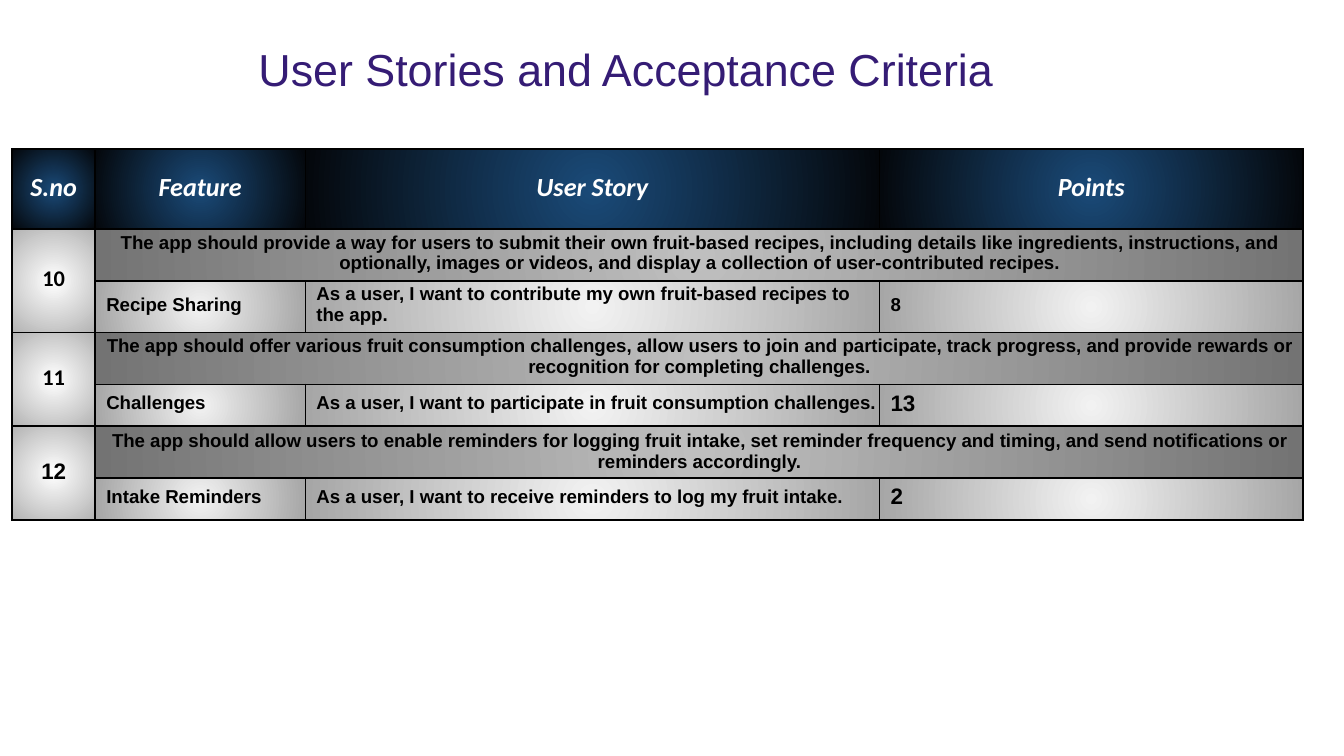
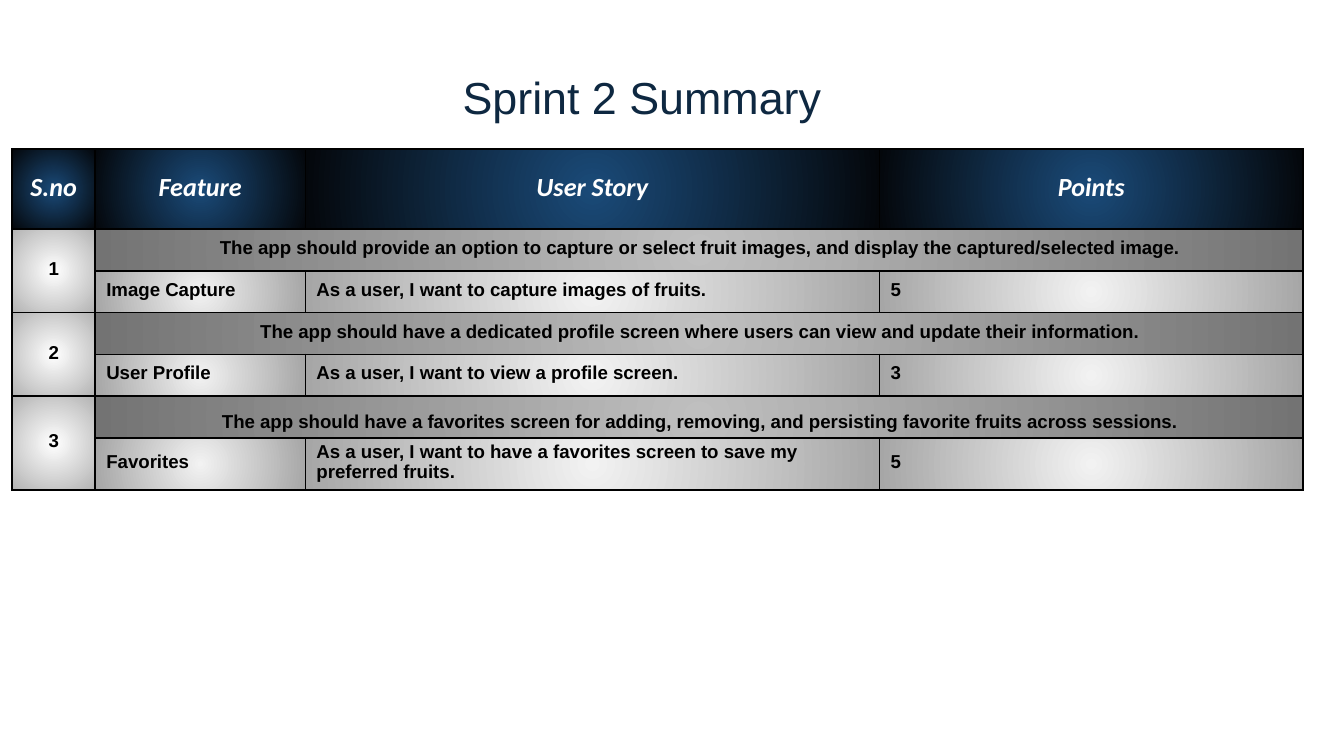
"""Builds the user story and sprint summary slides."""
from dataclasses import dataclass

from lxml.etree import SubElement
from pptx import Presentation
from pptx.dml.color import RGBColor
from pptx.enum.text import MSO_ANCHOR, MSO_AUTO_SIZE, PP_ALIGN
from pptx.oxml.ns import qn
from pptx.util import Cm, Pt


@dataclass(frozen=True)
class Theme:
    violet: str = "351C75"
    navy: str = "0E2841"
    white: str = "FFFFFF"
    black: str = "000000"
    header_fill: tuple = ("1A4A78", "04070B")
    number_fill: tuple = ("FFFFFF", "B3B3B3")
    criterion_fill: tuple = ("BFBFBF", "737373")
    story_fill: tuple = ("F2F2F2", "A6A6A6")
    body_font: str = "Arial"
    header_font: str = "Calibri"
    title_size: int = 24
    header_size: int = 14
    large_size: int = 12
    body_size: int = 10
    border: int = 1


@dataclass
class Story:
    number: str
    criterion: str
    feature: str
    story: str
    points: str
    number_size: int = Theme.body_size
    number_font: str = Theme.body_font
    points_size: int = Theme.body_size
    anchor: MSO_ANCHOR = MSO_ANCHOR.MIDDLE


HEADERS = ["S.no", "Feature", "User Story", "Points"]
COLUMNS = [1.57, 3.97, 10.85, 8.01]
HEADER_HEIGHT, ROW_HEIGHT = 1.51, 0.79
TABLE_LEFT, TABLE_TOP = 0.23, 2.82
CELL_INSETS = dict(margin_left=Cm(0.03), margin_top=Cm(0.03),
                   margin_right=Cm(0.03), margin_bottom=Cm(0.1))
TITLE_FRAME = dict(margin_left=Cm(0.18), margin_top=Cm(0.1),
                   margin_right=Cm(0.18), margin_bottom=Cm(0.1),
                   word_wrap=True, vertical_anchor=MSO_ANCHOR.TOP,
                   auto_size=MSO_AUTO_SIZE.SHAPE_TO_FIT_TEXT)

ACCEPTANCE = [
    Story("10", "The app should provide a way for users to submit their own "
          "fruit-based recipes, including details like ingredients, "
          "instructions, and optionally, images or videos, and display a "
          "collection of user-contributed recipes.",
          "Recipe Sharing",
          "As a user, I want to contribute my own fruit-based recipes to the app.",
          "8", Theme.large_size, Theme.header_font),
    Story("11", "The app should offer various fruit consumption challenges, "
          "allow users to join and participate, track progress, and provide "
          "rewards or recognition for completing challenges.",
          "Challenges",
          "As a user, I want to participate in fruit consumption challenges.",
          "13", Theme.large_size, Theme.header_font, Theme.large_size),
    Story("12", "The app should allow users to enable reminders for logging "
          "fruit intake, set reminder frequency and timing, and send "
          "notifications or reminders accordingly.",
          "Intake Reminders",
          "As a user, I want to receive reminders to log my fruit intake.",
          "2", Theme.large_size, points_size=Theme.large_size,
          anchor=MSO_ANCHOR.BOTTOM),
]
SPRINT = [
    Story("1", "The app should provide an option to capture or select fruit "
          "images, and display the captured/selected image.",
          "Image Capture", "As a user, I want to capture images of fruits.", "5"),
    Story("2", "The app should have a dedicated profile screen where users "
          "can view and update their information.",
          "User Profile", "As a user, I want to view a profile screen.", "3"),
    Story("3", "The app should have a favorites screen for adding, removing, "
          "and persisting favorite fruits across sessions.",
          "Favorites",
          "As a user, I want to have a favorites screen to save my preferred fruits.",
          "5", anchor=MSO_ANCHOR.BOTTOM),
]


def apply(target, formats):
    for name, value in formats.items():
        setattr(target, name, value)


def add_color(parent, color):
    SubElement(parent, qn("a:srgbClr"), val=color)


class Deck:
    def __init__(self, theme):
        self.theme = theme
        self.prs = Presentation()
        apply(self.prs, dict(slide_width=Cm(25.4), slide_height=Cm(14.29)))
        self.s = None

    def slide(self):
        self.s = self.prs.slides.add_slide(self.prs.slide_layouts[5])

    def text(self, p, text, size, font, color, align=PP_ALIGN.CENTER, **formats):
        p.alignment = align
        r = p.add_run()
        r.text = text
        apply(r.font, dict(size=Pt(size), name=font, **formats))
        r.font.color.rgb = RGBColor.from_string(color)

    def title(self, text, left, top, width, color):
        sp = self.s.shapes.title
        apply(sp, dict(left=Cm(left), top=Cm(top), width=Cm(width), height=Cm(1.22)))
        apply(sp.text_frame, TITLE_FRAME)
        self.text(sp.text_frame.paragraphs[0], text, self.theme.title_size,
                  self.theme.body_font, color)

    def paint(self, cell, colors):
        tc_pr = cell._tc.get_or_add_tcPr()
        for side in ("lnL", "lnR", "lnT", "lnB"):
            ln = SubElement(tc_pr, qn(f"a:{side}"), w=str(Pt(self.theme.border)))
            add_color(SubElement(ln, qn("a:solidFill")), self.theme.black)
        grad = SubElement(tc_pr, qn("a:gradFill"), rotWithShape="1")
        stops = SubElement(grad, qn("a:gsLst"))
        for pos, color in zip(("0", "100000"), colors):
            add_color(SubElement(stops, qn("a:gs"), pos=pos), color)
        circle = SubElement(grad, qn("a:path"), path="circle")
        SubElement(circle, qn("a:fillToRect"), **dict.fromkeys("ltrb", "50000"))

    def cell(self, cell, text, colors, size=Theme.body_size, font=Theme.body_font,
             color=Theme.black, anchor=MSO_ANCHOR.MIDDLE, indent=False, italic=False):
        apply(cell, dict(CELL_INSETS, vertical_anchor=anchor))
        self.paint(cell, colors)
        p = cell.text_frame.paragraphs[0]
        if indent:
            p_pr = p._p.get_or_add_pPr()
            p_pr.set("marL", str(Cm(0.18)))
            p_pr.set("indent", "0")
        if text:
            self.text(p, text, size, font, color,
                      PP_ALIGN.LEFT if indent else PP_ALIGN.CENTER,
                      bold=True, italic=italic)

    def story_rows(self, tbl, top, item):
        t = self.theme
        self.cell(tbl.cell(top, 0), item.number, t.number_fill,
                  item.number_size, item.number_font)
        self.cell(tbl.cell(top + 1, 0), "", t.number_fill)
        for col, text in enumerate((item.criterion, "", ""), 1):
            self.cell(tbl.cell(top, col), text, t.criterion_fill, anchor=item.anchor)
        details = ((item.feature, t.body_size), (item.story, t.body_size),
                   (item.points, item.points_size))
        for col, (text, size) in enumerate(details, 1):
            self.cell(tbl.cell(top + 1, col), text, t.story_fill, size, indent=True)
        tbl.cell(top, 0).merge(tbl.cell(top + 1, 0))
        tbl.cell(top, 1).merge(tbl.cell(top, 3))

    def table(self, stories):
        t = self.theme
        heights = [HEADER_HEIGHT] + [ROW_HEIGHT] * (2 * len(stories))
        tbl = self.s.shapes.add_table(
            len(heights), len(COLUMNS), Cm(TABLE_LEFT), Cm(TABLE_TOP),
            Cm(sum(COLUMNS)), Cm(sum(heights))).table
        apply(tbl, dict(first_row=False, horz_banding=False))
        for column, width in zip(tbl.columns, COLUMNS):
            column.width = Cm(width)
        for row, height in zip(tbl.rows, heights):
            row.height = Cm(height)
        for col, text in enumerate(HEADERS):
            self.cell(tbl.cell(0, col), text, t.header_fill, t.header_size,
                      t.header_font, t.white, italic=True)
        for i, item in enumerate(stories):
            self.story_rows(tbl, 1 + 2 * i, item)


def main():
    theme = Theme()
    deck = Deck(theme)
    deck.slide()
    deck.title("User Stories and Acceptance Criteria", 0.23, 0.69, 23.19, theme.violet)
    deck.table(ACCEPTANCE)
    deck.slide()
    deck.title("Sprint 2 Summary", 0.79, 1.22, 22.68, theme.navy)
    deck.table(SPRINT)
    deck.prs.save("out.pptx")


if __name__ == "__main__":
    main()
